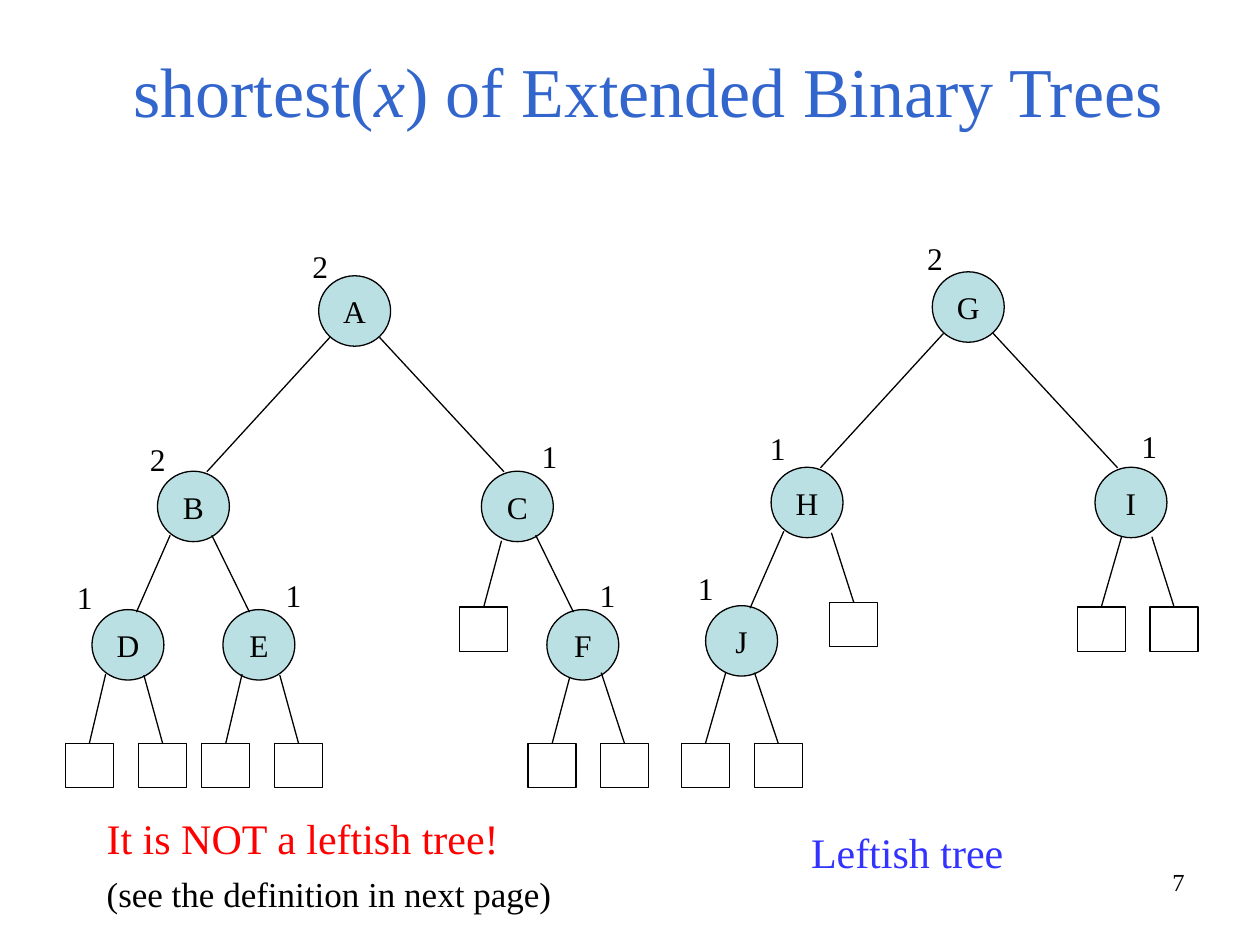
from lxml.etree import SubElement
from pptx import Presentation
from pptx.dml.color import RGBColor
from pptx.enum.shapes import MSO_CONNECTOR, MSO_SHAPE
from pptx.enum.text import MSO_ANCHOR, PP_ALIGN
from pptx.oxml.ns import qn
from pptx.util import Cm, Pt

COLORS = {"title": "3366CC", "node": "BBE0E3", "ink": "000000",
          "wrong": "FF0000", "right": "3333FF"}


class Board:
    font = "Times New Roman"
    node_size = (1.45, 1.42)
    leaf_size = (0.97, 0.89)
    stroke = 0.75

    def __init__(self, slide):
        self.slide = slide

    def color(self, name):
        return RGBColor.from_string(COLORS[name])

    def style(self, para, size, color, align=PP_ALIGN.LEFT):
        para.alignment = align
        for run in para.runs:
            run.font.name = self.font
            run.font.size = Pt(size)
            run.font.color.rgb = self.color(color)

    def text(self, x, y, w, h, words, size=18, color="ink", align=PP_ALIGN.LEFT):
        box = self.slide.shapes.add_textbox(Cm(x), Cm(y), Cm(w), Cm(h))
        frame = box.text_frame
        frame.word_wrap = True
        frame.text = words
        self.style(frame.paragraphs[0], size, color, align)
        return frame

    def title(self, x, y, w, h, parts, size):
        frame = self.text(x, y, w, h, parts[0], size, "title", PP_ALIGN.CENTER)
        frame.vertical_anchor = MSO_ANCHOR.BOTTOM
        para = frame.paragraphs[0]
        for part in parts[1:]:
            para.add_run().text = part
        self.style(para, size, "title", PP_ALIGN.CENTER)
        para.runs[1].font.italic = True

    def shape(self, kind, x, y, size):
        w, h = size
        item = self.slide.shapes.add_shape(kind, Cm(x), Cm(y), Cm(w), Cm(h))
        item.shadow.inherit = False
        item.fill.background()
        item.line.color.rgb = self.color("ink")
        item.line.width = Pt(self.stroke)
        return item

    def node(self, name, x, y):
        w, h = self.node_size
        item = self.shape(MSO_SHAPE.OVAL, x - w / 2, y - h / 2, self.node_size)
        item.fill.solid()
        item.fill.fore_color.rgb = self.color("node")
        frame = item.text_frame
        frame.word_wrap = False
        frame.vertical_anchor = MSO_ANCHOR.MIDDLE
        frame.text = name
        self.style(frame.paragraphs[0], 18, "ink", PP_ALIGN.CENTER)

    def edge(self, x1, y1, x2, y2):
        line = self.slide.shapes.add_connector(
            MSO_CONNECTOR.STRAIGHT, Cm(x1), Cm(y1), Cm(x2), Cm(y2))
        line.line.color.rgb = self.color("ink")
        line.line.width = Pt(self.stroke)
        SubElement(line._element.spPr, qn("a:effectLst"))

    def leaf(self, x1, y1, x2, y2):
        self.shape(MSO_SHAPE.RECTANGLE, x2 - self.leaf_size[0] / 2, y2, self.leaf_size)
        self.edge(x1, y1, x2, y2)


NODES = {
    "A": (7.15, 6.27), "B": (3.9, 10.21), "C": (10.43, 10.21),
    "D": (2.58, 13), "E": (5.22, 13), "F": (11.75, 13),
}
SHIFT = (12.37, -0.08)
for twin, name in zip("GHIJ", "ABCD"):
    NODES[twin] = tuple(a + b for a, b in zip(NODES[name], SHIFT))

LINKS = {
    (-0.5, 0.53, 0.27, -0.7): ["AB", "GH"],
    (0.5, 0.53, -0.27, -0.7): ["AC", "GI"],
    (-0.47, 0.58, 0.17, -0.66): ["BD", "HJ"],
    (0.37, 0.58, -0.19, -0.66): ["BE", "CF"],
}
LEAVES = {
    14.99: [(2.13, 13.59, 1.8), (2.9, 13.61, 3.28), (4.88, 13.59, 4.55),
            (5.64, 13.61, 6.02), (11.48, 13.67, 11.13), (12.12, 13.56, 12.59),
            (14.63, 13.56, 14.22), (15.21, 13.56, 15.69)],
    12.24: [(10.11, 10.9, 9.75), (22.61, 10.82, 22.2), (23.22, 10.82, 23.67)],
    12.14: [(16.76, 10.74, 17.21)],
}
RANKS = {
    "2": [(6.05, 4.85), (2.77, 8.74), (18.44, 4.7)],
    "1": [(1.3, 11.53), (5.51, 11.48), (10.67, 8.69), (11.84, 11.48),
          (15.27, 8.53), (13.82, 11.35), (22.76, 8.48)],
}


def main():
    deck = Presentation()
    deck.slide_width, deck.slide_height = Cm(25.4), Cm(19.05)
    board = Board(deck.slides.add_slide(deck.slide_layouts[6]))

    board.title(1.9, 0.89, 22.33, 1.88,
                ["shortest(", "x", ") of Extended Binary Trees"], 40)
    for name, (x, y) in NODES.items():
        board.node(name, x, y)
    for (dx1, dy1, dx2, dy2), pairs in LINKS.items():
        for top, low in pairs:
            (x1, y1), (x2, y2) = NODES[top], NODES[low]
            board.edge(x1 + dx1, y1 + dy1, x2 + dx2, y2 + dy2)
    for y2, group in LEAVES.items():
        for x1, y1, x2 in group:
            board.leaf(x1, y1, x2, y2)
    for rank, spots in RANKS.items():
        for x, y in spots:
            board.text(x, y, 0.89, 1.02, rank)

    note = board.text(1.9, 16.54, 10.21, 2.01, "It is NOT a leftish tree!", 24, "wrong")
    hint = note.add_paragraph()
    hint.text = "(see the definition in next page)"
    hint.space_before = Pt(12.5)
    board.style(hint, 20, "ink")
    for para in note.paragraphs:
        para.line_spacing = 0.7
    board.text(16.1, 16.54, 6.81, 1.27, "Leftish tree", 24, "right")
    board.text(18.21, 17.35, 5.92, 1.32, "7", 14, align=PP_ALIGN.RIGHT)

    deck.save("out.pptx")


if __name__ == "__main__":
    main()
